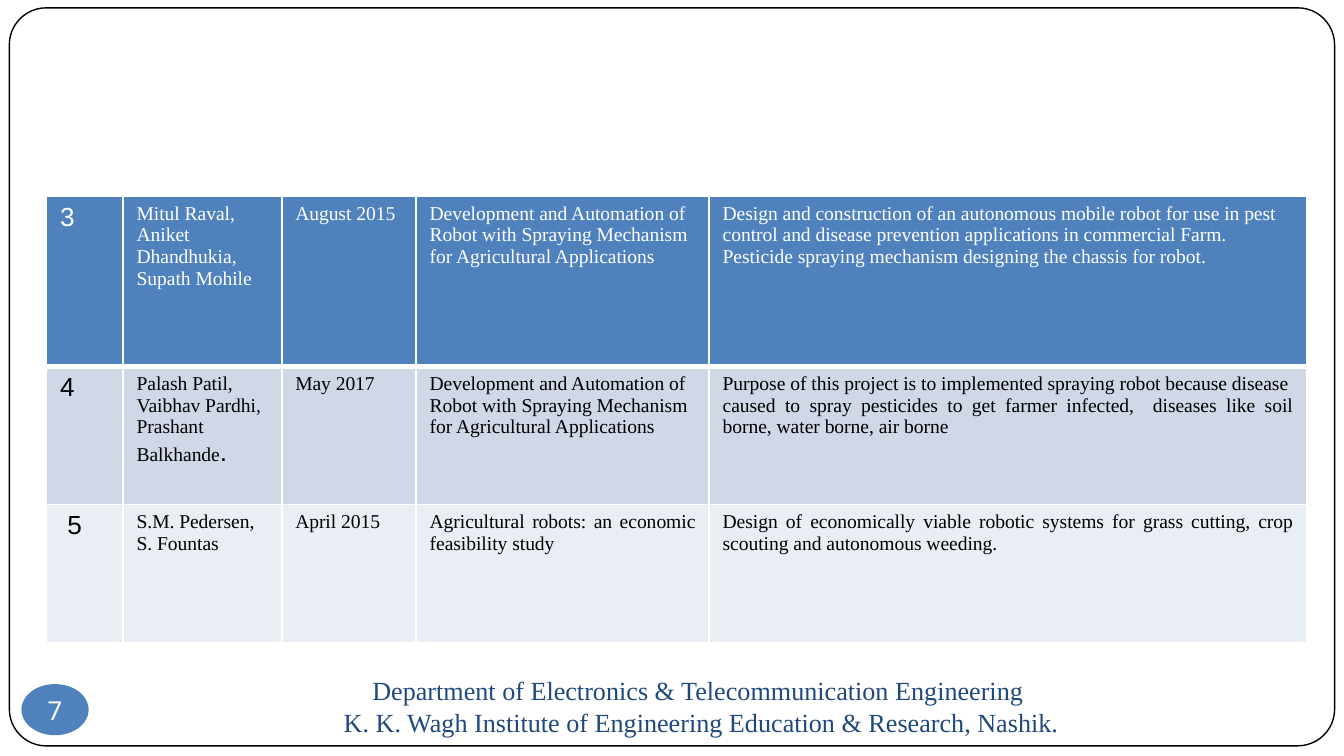
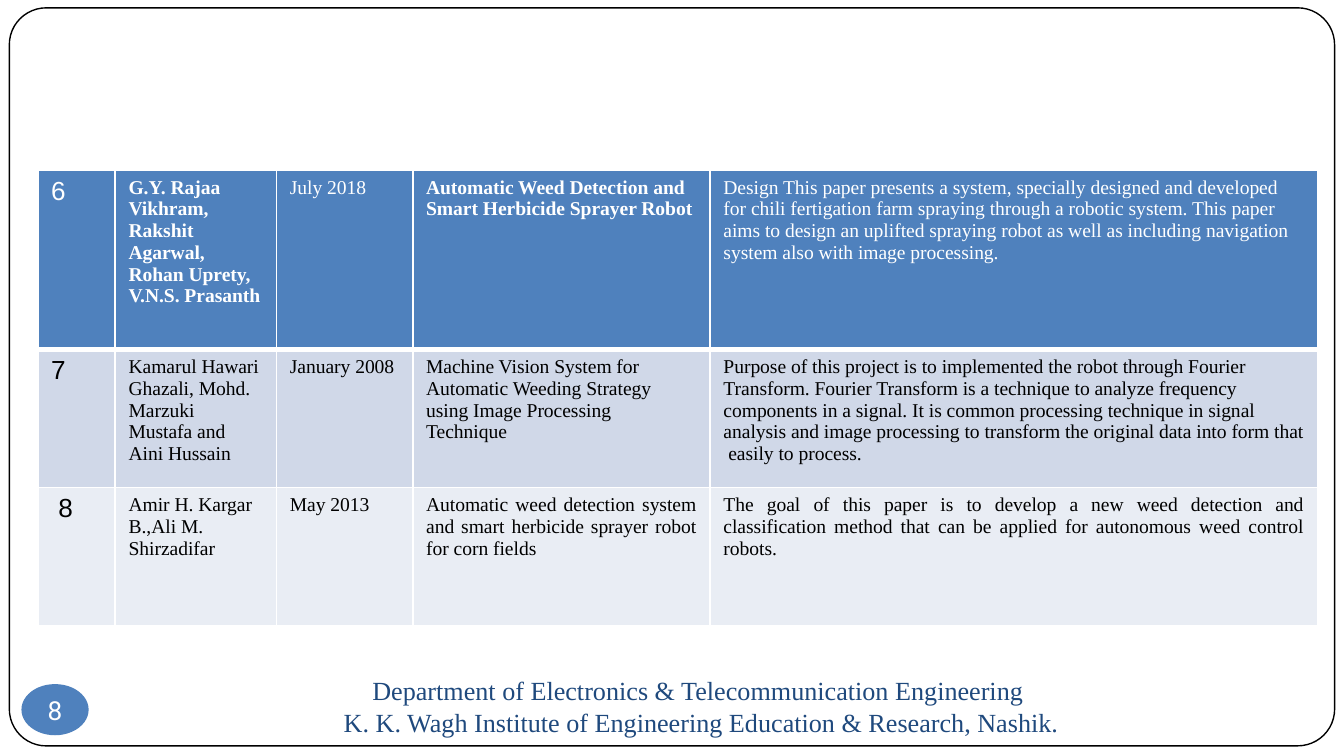
from pptx import Presentation
from pptx.dml.color import RGBColor
from pptx.enum.shapes import MSO_SHAPE
from pptx.enum.text import MSO_ANCHOR, PP_ALIGN
from pptx.oxml import parse_xml
from pptx.oxml.ns import nsdecls
from pptx.util import Pt

WHITE, BLACK, BLUE, NAVY = "FFFFFF", "000000", "4F81BD", "1F497D"
ROW_FILLS = [BLUE, "D0D8E8", "E9EDF4"]
SERIF = "Times New Roman"
FOOTER = ("Department of Electronics & Telecommunication Engineering \n"
          "K. K. Wagh Institute of Engineering Education & Research, Nashik.")

PAGES = [
    {
        "number": "7", "left": 25, "top": 105,
        "columns": [41, 85, 72, 157, 320.4], "rows": [91.2, 74, 74],
        "justified": [(0, 2), (1, 4), (2, 3), (2, 4)], "bold": [],
        "papers": [
            ["3", "Mitul Raval,\nAniket Dhandhukia,  Supath Mohile", "August 2015",
             "Development and Automation of Robot with Spraying Mechanism for Agricultural Applications",
             "Design and construction of an autonomous mobile robot for use in pest control and disease "
             "prevention applications in commercial Farm. Pesticide spraying mechanism designing the "
             "chassis for robot."],
            ["4", "Palash Patil,\nVaibhav Pardhi,\nPrashant Balkhande", "May 2017",
             "Development and Automation of Robot with Spraying Mechanism for Agricultural Applications",
             "Purpose of this project is to implemented spraying robot because disease  caused to spray "
             "pesticides to get farmer infected,  diseases like soil borne, water borne, air borne"],
            [" 5", "S.M. Pedersen, S. Fountas", "April 2015",
             "Agricultural robots: an economic feasibility study",
             "Design of economically viable robotic systems for grass cutting, crop scouting and "
             "autonomous weeding."],
        ],
    },
    {
        "number": "8", "left": 20.2, "top": 91,
        "columns": [41.5, 86.4, 73, 159.3, 325.6], "rows": [96.2, 74, 74],
        "justified": [(0, 2), (2, 3), (2, 4)], "bold": [(0, 1), (0, 3)],
        "papers": [
            ["6", "G.Y. Rajaa Vikhram, Rakshit Agarwal, Rohan Uprety, V.N.S. Prasanth", "July 2018",
             "Automatic Weed Detection and Smart Herbicide Sprayer Robot",
             "Design This paper presents a system, specially designed and developed for chili fertigation "
             "farm spraying through a robotic system. This paper aims to design an uplifted spraying robot "
             "as well as including navigation system also with image processing."],
            ["7", "Kamarul Hawari Ghazali, Mohd. Marzuki Mustafa and Aini Hussain", "January 2008",
             "Machine Vision System for Automatic Weeding Strategy using Image Processing Technique",
             "Purpose of this project is to implemented the robot through Fourier Transform. Fourier "
             "Transform is a technique to analyze frequency components in a signal. It is common processing "
             "technique in signal analysis and image processing to transform the original data into form "
             "that  easily to process."],
            [" 8", "Amir H. Kargar B.,Ali M. Shirzadifar", "May 2013",
             "Automatic weed detection system and smart herbicide sprayer robot for corn fields",
             "The goal of this paper is to develop a new weed detection and classification method that can "
             "be applied for autonomous weed control robots."],
        ],
    },
]


def paint(target, color):
    if hasattr(target, "solid"):
        target.solid()
        target = target.fore_color
    target.rgb = RGBColor.from_string(color)


def style(frame, size, font, color, align=PP_ALIGN.LEFT, bold=False):
    for para in frame.paragraphs:
        para.alignment = align
        for span in para.runs:
            span.font.size = Pt(size)
            span.font.name = font
            span.font.bold = bold
            paint(span.font.color, color)


deck = Presentation()
deck.slide_width, deck.slide_height = Pt(720), Pt(405)

for content in PAGES:
    page = deck.slides.add_slide(deck.slide_layouts[6])

    border = page.shapes.add_shape(MSO_SHAPE.ROUNDED_RECTANGLE, Pt(5), Pt(4.2), Pt(710), Pt(395.4))
    border.adjustments[0] = 0.05
    border.shadow.inherit = False
    paint(border.fill, WHITE)
    paint(border.line.color, BLACK)
    border.line.width = Pt(0.75)

    footer = page.shapes.add_textbox(Pt(72), Pt(364.5), Pt(607.7), Pt(27.4)).text_frame
    footer.word_wrap = True
    footer.vertical_anchor = MSO_ANCHOR.MIDDLE
    footer.text = FOOTER
    style(footer, 14, SERIF, NAVY, PP_ALIGN.CENTER)

    badge = page.shapes.add_shape(MSO_SHAPE.OVAL, Pt(11.5), Pt(366.5), Pt(36), Pt(27.4))
    badge.shadow.inherit = False
    paint(badge.fill, BLUE)
    badge.line.fill.background()
    label = badge.text_frame
    label.margin_left = label.margin_right = label.margin_top = label.margin_bottom = 0
    label.vertical_anchor = MSO_ANCHOR.MIDDLE
    label.text = content["number"]
    style(label, 14, "Roboto", WHITE, PP_ALIGN.CENTER)

    columns, rows = content["columns"], content["rows"]
    table = page.shapes.add_table(len(rows), len(columns), Pt(content["left"]), Pt(content["top"]),
                                  Pt(sum(columns)), Pt(sum(rows))).table
    for column, width in zip(table.columns, columns):
        column.width = Pt(width)
    for row, height in zip(table.rows, rows):
        row.height = Pt(height)

    for r, paper in enumerate(content["papers"]):
        color = WHITE if r == 0 else BLACK
        for c, text in enumerate(paper):
            cell = table.cell(r, c)
            cell.text_frame.text = text
            align = PP_ALIGN.JUSTIFY if (r, c) in content["justified"] else PP_ALIGN.LEFT
            size, font = (14, "Arial") if c == 0 else (10.5, SERIF)
            style(cell.text_frame, size, font, color, align, (r, c) in content["bold"])

            if text.endswith("Balkhande"):
                stop = cell.text_frame.paragraphs[-1].add_run()
                stop.text = "."
                stop.font.size, stop.font.name = Pt(14), "Arial"
                paint(stop.font.color, color)

            properties = cell._tc.get_or_add_tcPr()
            for side in "LRTB":
                width = Pt(3 if r == 0 and side == "B" else 1)
                properties.append(parse_xml(
                    f'<a:ln{side} {nsdecls("a")} w="{width}"><a:solidFill>'
                    f'<a:srgbClr val="{WHITE}"/></a:solidFill></a:ln{side}>'))
            paint(cell.fill, ROW_FILLS[r])

deck.save("out.pptx")
